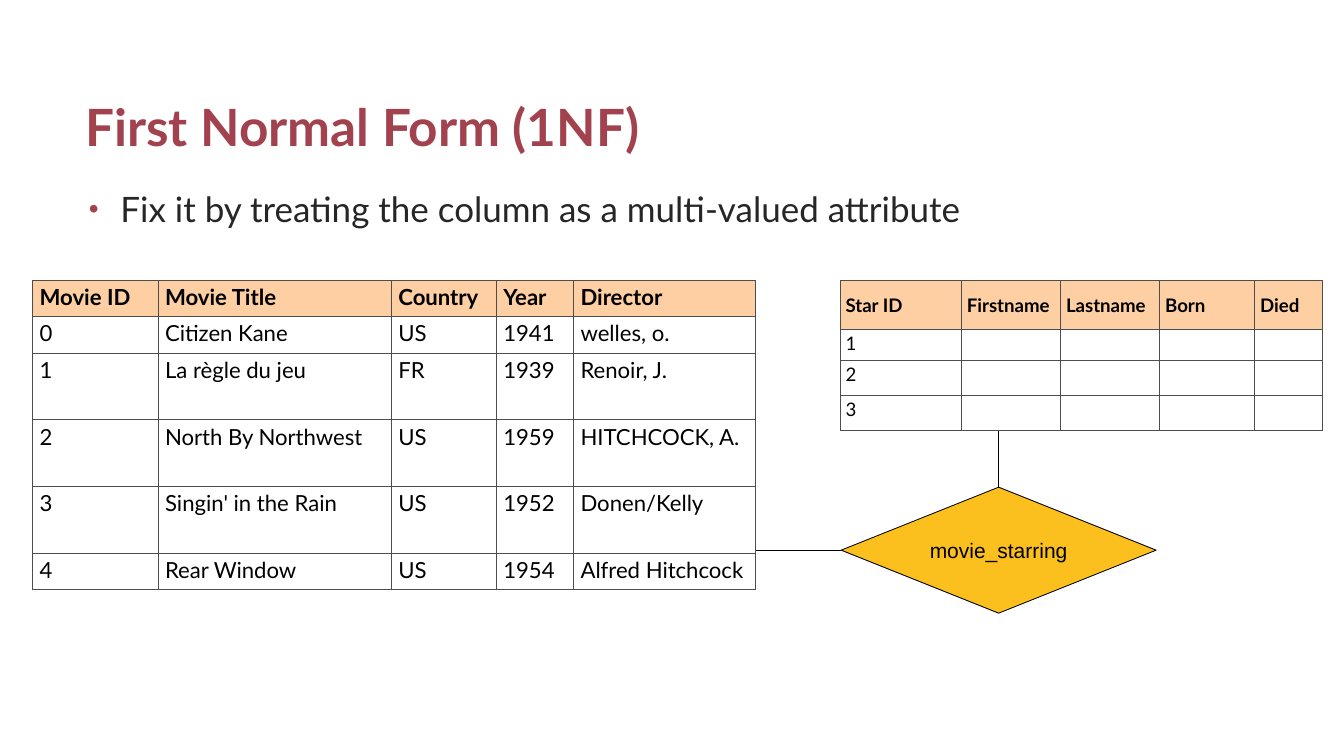
"""Build the First Normal Form slide with its two tables and relationship."""
from lxml.etree import SubElement
from pptx import Presentation
from pptx.dml.color import RGBColor
from pptx.enum.shapes import MSO_CONNECTOR, MSO_SHAPE
from pptx.enum.text import MSO_ANCHOR, PP_ALIGN
from pptx.oxml.ns import qn
from pptx.util import Pt

BLACK = RGBColor(0x00, 0x00, 0x00)
WHITE = RGBColor(0xFF, 0xFF, 0xFF)
GREY = RGBColor(0x4D, 0x4D, 0x4D)
DARK = RGBColor(0x26, 0x26, 0x26)
RED = RGBColor(0xA2, 0x42, 0x4F)
PEACH = RGBColor(0xFD, 0xCF, 0xA2)
AMBER = RGBColor(0xFB, 0xC0, 0x1E)

MOVIES = [
    ["Movie ID", "Movie Title", "Country", "Year", "Director"],
    ["0", "Citizen Kane", "US", "1941", "welles, o."],
    ["1", "La règle du jeu", "FR", "1939", "Renoir, J."],
    ["2", "North By Northwest", "US", "1959", "HITCHCOCK, A."],
    ["3", "Singin' in the Rain", "US", "1952", "Donen/Kelly"],
    ["4", "Rear Window", "US", "1954", "Alfred Hitchcock"],
]
STARS = [["Star ID", "Firstname", "Lastname", "Born", "Died"]]
STARS += [[str(n), "", "", "", ""] for n in range(1, 4)]


def set_attrs(obj, values):
    """Set every attribute in a dict of values."""
    for name, value in values.items():
        setattr(obj, name, value)


def add_run(p, text, color, size, name="Lato", bold=False):
    """Add a formatted run to a paragraph."""
    r = p.add_run()
    r.text = text
    set_attrs(r.font, {"size": Pt(size), "name": name, "bold": bold})
    r.font.color.rgb = color


def add_text(s, box, text, color, size, bold=False, **frame):
    """Add a wrapped text box and return its paragraph."""
    tf = s.shapes.add_textbox(*map(Pt, box)).text_frame
    set_attrs(tf, {"word_wrap": True, **frame})
    p = tf.paragraphs[0]
    add_run(p, text, color, size, bold=bold)
    return p


def add_bullet(p, color, indent):
    """Give a paragraph a coloured hanging bullet."""
    set_attrs(p, {"space_before": Pt(4), "space_after": Pt(2)})
    pPr = p._p.get_or_add_pPr()
    pPr.set("marL", str(Pt(indent)))
    pPr.set("indent", str(-Pt(indent)))
    clr = SubElement(pPr, qn("a:buClr"))
    SubElement(clr, qn("a:srgbClr"), val=str(color))
    SubElement(pPr, qn("a:buSzPct"), val="80000")
    SubElement(pPr, qn("a:buFont"), typeface="Arial")
    SubElement(pPr, qn("a:buChar"), char="•")


def add_borders(cell, color, width):
    """Draw a line on all four sides of a cell."""
    tcPr = cell._tc.get_or_add_tcPr()
    for side in ("lnL", "lnR", "lnT", "lnB"):
        ln = SubElement(tcPr, qn(f"a:{side}"), w=str(Pt(width)))
        fill = SubElement(ln, qn("a:solidFill"))
        SubElement(fill, qn("a:srgbClr"), val=str(color))


def add_grid(s, left, top, rows, widths, heights, size, margins, head_anchor):
    """Add a bordered table with a peach header row."""
    frame = s.shapes.add_table(len(rows), len(widths), Pt(left), Pt(top),
                               Pt(sum(widths)), Pt(sum(heights)))
    table = frame.table
    set_attrs(table, {"first_row": False, "horz_banding": False})
    for column, width in zip(table.columns, widths):
        column.width = Pt(width)
    x, y = map(Pt, margins)
    for i, (row, height) in enumerate(zip(rows, heights)):
        table.rows[i].height = Pt(height)
        head = i == 0
        for j, text in enumerate(row):
            cell = table.cell(i, j)
            set_attrs(cell, {
                "margin_left": x, "margin_right": x,
                "margin_top": y, "margin_bottom": y,
                "vertical_anchor": head_anchor if head else MSO_ANCHOR.TOP,
            })
            add_borders(cell, GREY, 1)
            cell.fill.solid()
            cell.fill.fore_color.rgb = PEACH if head else WHITE
            add_run(cell.text_frame.paragraphs[0], text, BLACK, size, bold=head)


def add_diamond(s, box, text):
    """Add a relationship diamond with a centred label."""
    sp = s.shapes.add_shape(MSO_SHAPE.DIAMOND, *map(Pt, box))
    sp.shadow.inherit = False
    sp.fill.solid()
    sp.fill.fore_color.rgb = AMBER
    sp.line.color.rgb = BLACK
    sp.line.width = Pt(0.75)
    tf = sp.text_frame
    set_attrs(tf, {"word_wrap": True, "vertical_anchor": MSO_ANCHOR.MIDDLE})
    p = tf.paragraphs[0]
    p.alignment = PP_ALIGN.CENTER
    add_run(p, text, BLACK, 18, name="Arial")


def add_line(s, *ends):
    """Add a thin black straight connector."""
    cxn = s.shapes.add_connector(MSO_CONNECTOR.STRAIGHT, *map(Pt, ends))
    cxn.line.color.rgb = BLACK
    cxn.line.width = Pt(0.75)
    SubElement(cxn._element.spPr, qn("a:effectLst"))


def main():
    """Build and save the slide."""
    prs = Presentation()
    set_attrs(prs, {"slide_width": Pt(1152), "slide_height": Pt(648)})
    s = prs.slides.add_slide(prs.slide_layouts[6])
    p = add_text(s, (66, 156, 1020, 420),
                 "Fix it by treating the column as a multi-valued attribute",
                 DARK, 30, margin_left=Pt(10.2), margin_right=Pt(10.2),
                 margin_top=Pt(5), margin_bottom=Pt(5))
    add_bullet(p, RED, 27)
    add_text(s, (66, 26, 1020, 112), "First Normal Form (1NF)", RED, 44,
             bold=True, vertical_anchor=MSO_ANCHOR.BOTTOM)
    add_grid(s, 720, 240, STARS, [104, 85, 85, 81.4, 58.3],
             [42.5, 26.8, 30, 30], 16, (4.8, 2.4), MSO_ANCHOR.MIDDLE)
    add_grid(s, 28, 240, MOVIES, [107.5, 200, 90, 66.2, 156.3],
             [31.4, 31.4, 57.2, 57.2, 57.2, 31.4], 19, (6, 3), MSO_ANCHOR.TOP)
    left, top, width, height = diamond = (721, 417.6, 270, 108)
    add_diamond(s, diamond, "movie_starring")
    middle_x, middle_y = left + width / 2, top + height / 2
    add_line(s, middle_x, top, middle_x, 369.3)
    add_line(s, left, middle_y, 648, middle_y)
    prs.save("out.pptx")


if __name__ == "__main__":
    main()
